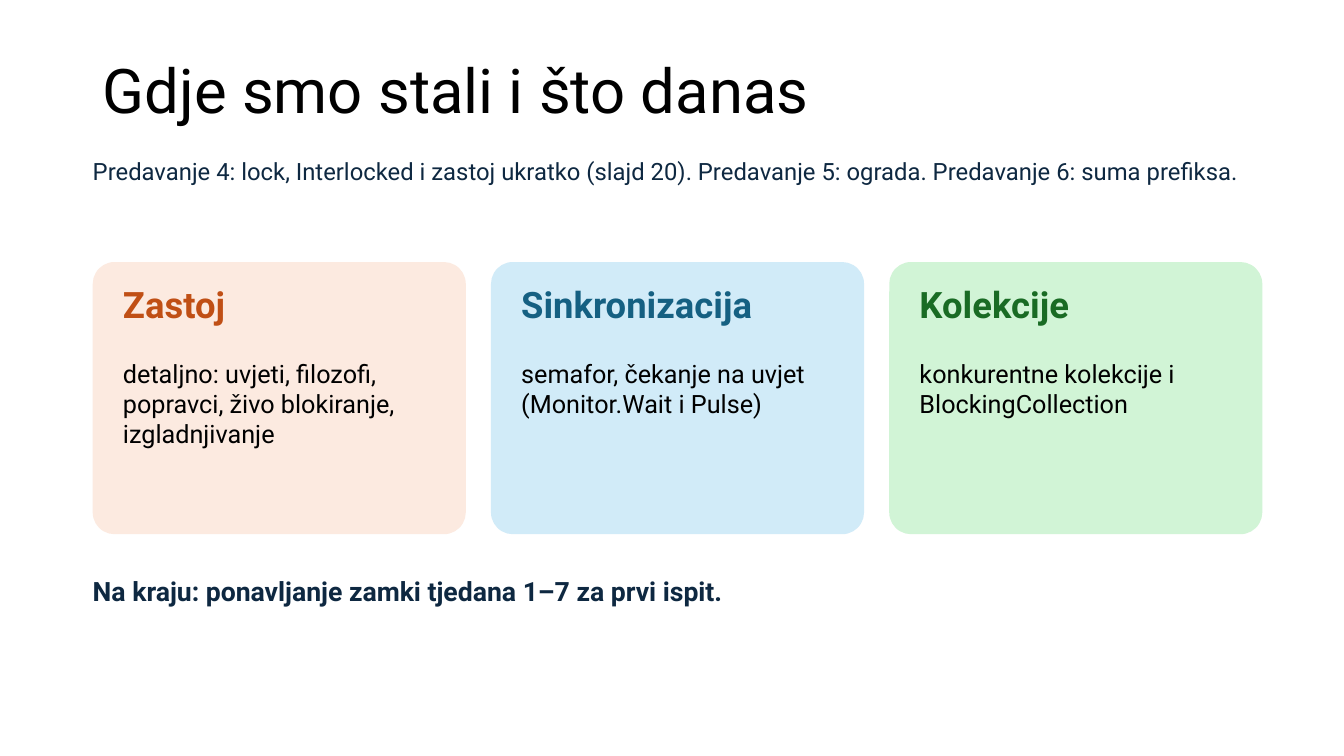
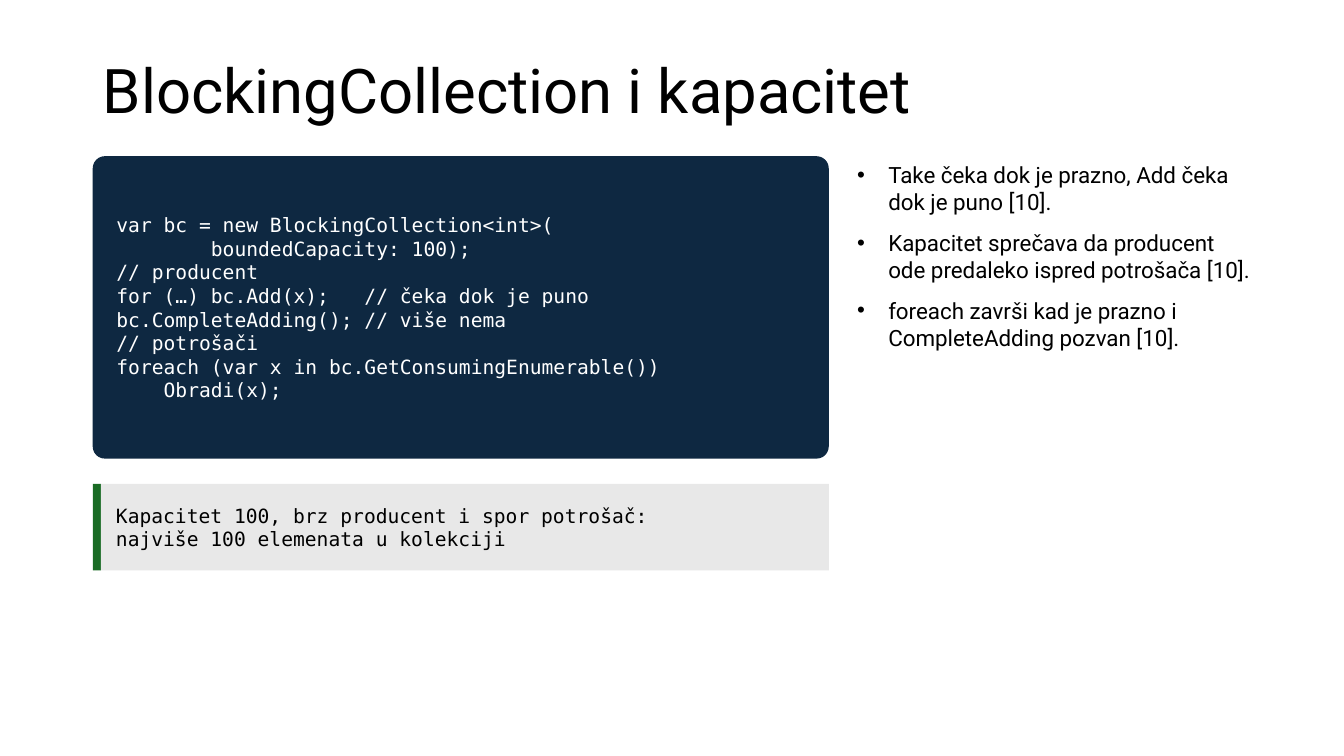
from dataclasses import dataclass
from typing import Any

from lxml.etree import SubElement
from pptx import Presentation
from pptx.dml.color import RGBColor
from pptx.enum.shapes import MSO_SHAPE
from pptx.enum.text import MSO_ANCHOR, MSO_AUTO_SIZE, PP_ALIGN
from pptx.oxml.ns import qn
from pptx.util import Inches, Pt


@dataclass(frozen=True)
class Theme:
    sans: str = "Roboto"
    mono: str = "DejaVu Sans Mono"
    black: str = "000000"
    white: str = "FFFFFF"
    navy: str = "0E2841"
    orange: str = "C04F15"
    blue: str = "156082"
    green: str = "196B24"
    pale_orange: str = "FCEAE0"
    pale_blue: str = "D1EBF8"
    pale_green: str = "D1F4D6"
    pale_gray: str = "E8E8E8"
    title_size: int = 44
    heading_size: int = 26
    closing_size: int = 19
    card_size: int = 18
    intro_size: int = 17
    bullet_size: int = 16
    code_size: int = 14


@dataclass(frozen=True)
class Area:
    left: float
    top: float
    width: float
    height: float

    def lengths(self) -> tuple[int, ...]:
        return tuple(Inches(value) for value in (self.left, self.top, self.width, self.height))

    def inner(self, inset: float, top: float, height: float) -> "Area":
        return Area(self.left + inset, self.top + top, self.width - 2 * inset, height)


@dataclass(frozen=True)
class Grid:
    left: float = 0.92
    top: float = 1.55
    text_width: float = 11.5
    columns: int = 3
    column_width: float = 3.7
    gap: float = 0.25

    def column(self, index: int, top: float, height: float) -> Area:
        left = self.left + index * (self.column_width + self.gap)
        return Area(left, top, self.column_width, height)

    def row(self, top: float, height: float) -> Area:
        return Area(self.left, top, self.text_width, height)


@dataclass(frozen=True)
class Style:
    size: int
    color: str
    font: str
    bold: bool = False


@dataclass(frozen=True)
class Card:
    heading: str
    body: str
    accent: str
    fill: str


THEME = Theme()
GRID = Grid()
CODE_WIDTH = 7.3
BAR_WIDTH = 0.08
BULLET_INDENT = 0.31
NO_INSETS = (0, 0, 0, 0)

CARDS = (
    Card("Zastoj", "detaljno: uvjeti, filozofi, popravci, živo blokiranje, izgladnjivanje",
         THEME.orange, THEME.pale_orange),
    Card("Sinkronizacija", "semafor, čekanje na uvjet (Monitor.Wait i Pulse)",
         THEME.blue, THEME.pale_blue),
    Card("Kolekcije", "konkurentne kolekcije i BlockingCollection",
         THEME.green, THEME.pale_green),
)

CODE = """var bc = new BlockingCollection<int>(
        boundedCapacity: 100);
// producent
for (…) bc.Add(x);   // čeka dok je puno
bc.CompleteAdding(); // više nema
// potrošači
foreach (var x in bc.GetConsumingEnumerable())
    Obradi(x);"""

OUTPUT = """Kapacitet 100, brz producent i spor potrošač:
najviše 100 elemenata u kolekciji"""

BULLETS = (
    "Take čeka dok je prazno, Add čeka dok je puno [10].",
    "Kapacitet sprečava da producent ode predaleko ispred potrošača [10].",
    "foreach završi kad je prazno i CompleteAdding pozvan [10].",
)


def apply_format(target: Any, values: dict[str, Any]) -> None:
    for name, value in values.items():
        setattr(target, name, value)


def place(box: Any, area: Area) -> None:
    apply_format(box, dict(zip(("left", "top", "width", "height"), area.lengths())))


def set_frame(frame: Any, insets: tuple[float, ...], anchor: Any = MSO_ANCHOR.TOP) -> None:
    sides = ("margin_left", "margin_top", "margin_right", "margin_bottom")
    apply_format(frame, {
        "word_wrap": True,
        "auto_size": MSO_AUTO_SIZE.NONE,
        "vertical_anchor": anchor,
        **{side: Inches(inset) for side, inset in zip(sides, insets)},
    })


def write(frame: Any, lines: list[str], style: Style, bullet: bool = False,
          **spacing: Any) -> None:
    for index, line in enumerate(lines):
        para = frame.paragraphs[0] if index == 0 else frame.add_paragraph()
        if bullet:
            add_bullet(para)
        apply_format(para, {"alignment": PP_ALIGN.LEFT, "space_before": Pt(0), **spacing})
        span = para.add_run()
        span.text = line
        apply_format(span.font, {"size": Pt(style.size), "name": style.font, "bold": style.bold})
        span.font.color.rgb = RGBColor.from_string(style.color)


def add_bullet(para: Any) -> None:
    properties = para._p.get_or_add_pPr()
    properties.set("marL", str(Inches(BULLET_INDENT)))
    properties.set("indent", str(-Inches(BULLET_INDENT)))
    SubElement(properties, qn("a:buChar")).set("char", "•")


def add_text(page: Any, area: Area, text: str, style: Style) -> None:
    box = page.shapes.add_textbox(*area.lengths())
    set_frame(box.text_frame, NO_INSETS)
    write(box.text_frame, [text], style)


def add_panel(page: Any, area: Area, fill: str, rounding: float = 0) -> Any:
    kind = MSO_SHAPE.ROUNDED_RECTANGLE if rounding else MSO_SHAPE.RECTANGLE
    panel = page.shapes.add_shape(kind, *area.lengths())
    if rounding:
        panel.adjustments[0] = rounding
    panel.shadow.inherit = False
    panel.fill.solid()
    panel.fill.fore_color.rgb = RGBColor.from_string(fill)
    panel.line.fill.background()
    return panel


def add_listing(panel: Any, text: str, color: str, left_inset: float) -> None:
    set_frame(panel.text_frame, (left_inset, 0.05, 0.1, 0.05), MSO_ANCHOR.MIDDLE)
    write(panel.text_frame, text.splitlines(), Style(THEME.code_size, color, THEME.mono))


def add_page(deck: Any, layout: int, title: str) -> Any:
    page = deck.slides.add_slide(deck.slide_layouts[layout])
    box = page.shapes.title
    place(box, GRID.row(0.4, 1.06))
    set_frame(box.text_frame, (0.1, 0.05, 0.1, 0.05), MSO_ANCHOR.MIDDLE)
    write(box.text_frame, [title], Style(THEME.title_size, THEME.black, THEME.sans),
          line_spacing=0.9)
    return page


def add_card(page: Any, card: Card, area: Area) -> None:
    add_panel(page, area, card.fill, 0.08)
    add_text(page, area.inner(0.3, 0.2, 0.6), card.heading,
             Style(THEME.heading_size, card.accent, THEME.sans, True))
    add_text(page, area.inner(0.3, 0.95, 1.7), card.body,
             Style(THEME.card_size, THEME.black, THEME.sans))


def build_overview(deck: Any) -> None:
    page = add_page(deck, 5, "Gdje smo stali i što danas")
    add_text(page, GRID.row(GRID.top, 0.9),
             "Predavanje 4: lock, Interlocked i zastoj ukratko (slajd 20). "
             "Predavanje 5: ograda. Predavanje 6: suma prefiksa.",
             Style(THEME.intro_size, THEME.navy, THEME.sans))
    for index, card in enumerate(CARDS):
        add_card(page, card, GRID.column(index, 2.6, 2.7))
    add_text(page, GRID.row(5.7, 0.9), "Na kraju: ponavljanje zamki tjedana 1–7 za prvi ispit.",
             Style(THEME.closing_size, THEME.navy, THEME.sans, True))


def build_capacity(deck: Any) -> None:
    page = add_page(deck, 1, "BlockingCollection i kapacitet")
    code_area = Area(GRID.left, GRID.top, CODE_WIDTH, 3)
    add_listing(add_panel(page, code_area, THEME.navy, 0.04), CODE, THEME.white, 0.2)

    output_top = code_area.top + code_area.height + GRID.gap
    bar_area = Area(GRID.left, output_top, BAR_WIDTH, 0.86)
    output_area = Area(GRID.left + BAR_WIDTH, output_top, CODE_WIDTH - BAR_WIDTH, 0.86)
    add_panel(page, bar_area, THEME.green)
    add_listing(add_panel(page, output_area, THEME.pale_gray), OUTPUT, THEME.black, 0.15)

    body = page.placeholders[1]
    place(body, Area(8.5, 1.6, 3.9, 4.9))
    set_frame(body.text_frame, NO_INSETS)
    write(body.text_frame, list(BULLETS), Style(THEME.bullet_size, THEME.black, THEME.sans),
          bullet=True, space_after=Pt(10))


def main() -> None:
    deck = Presentation()
    apply_format(deck, {"slide_width": Inches(13.33), "slide_height": Inches(7.5)})
    build_overview(deck)
    build_capacity(deck)
    deck.save("out.pptx")


if __name__ == "__main__":
    main()
